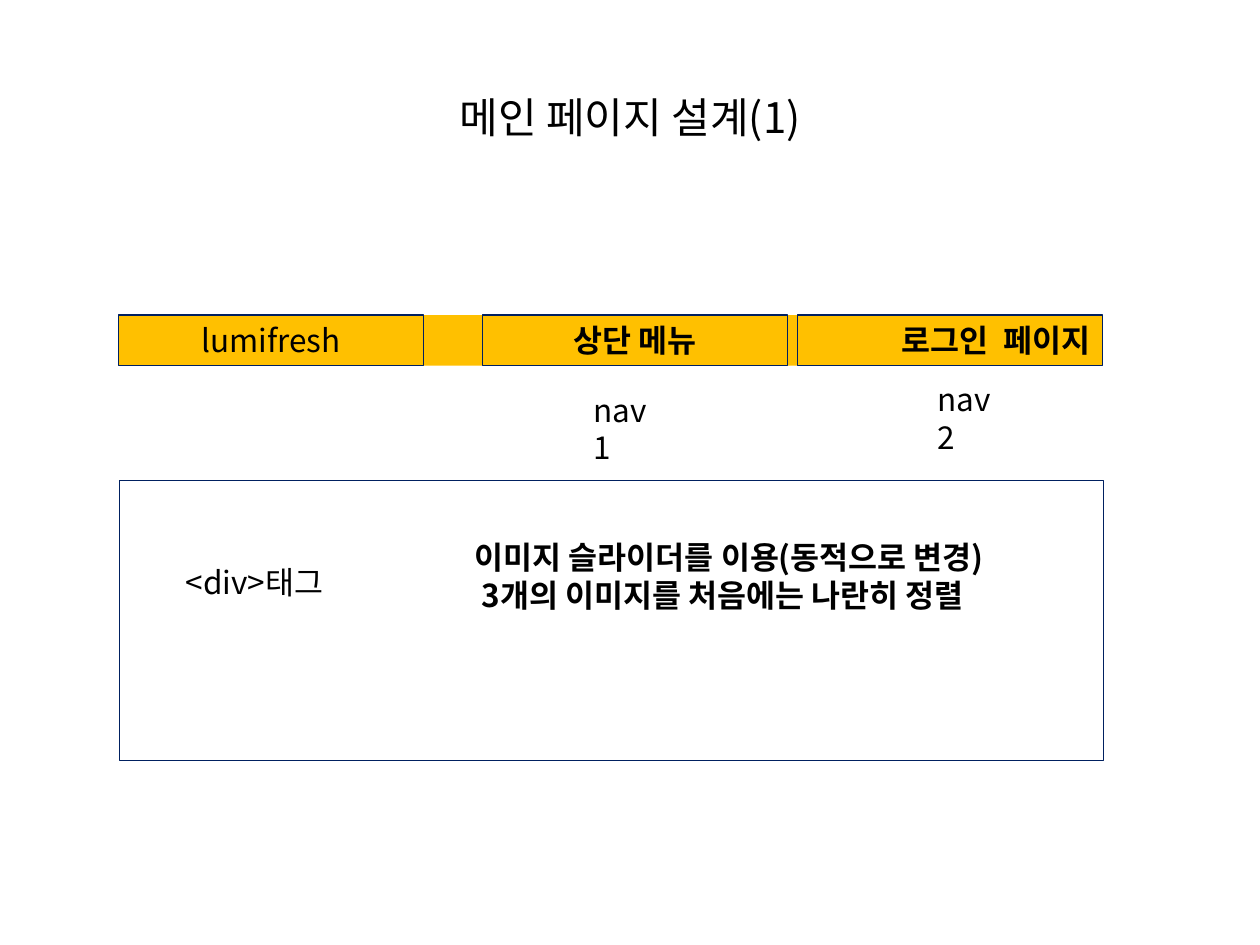
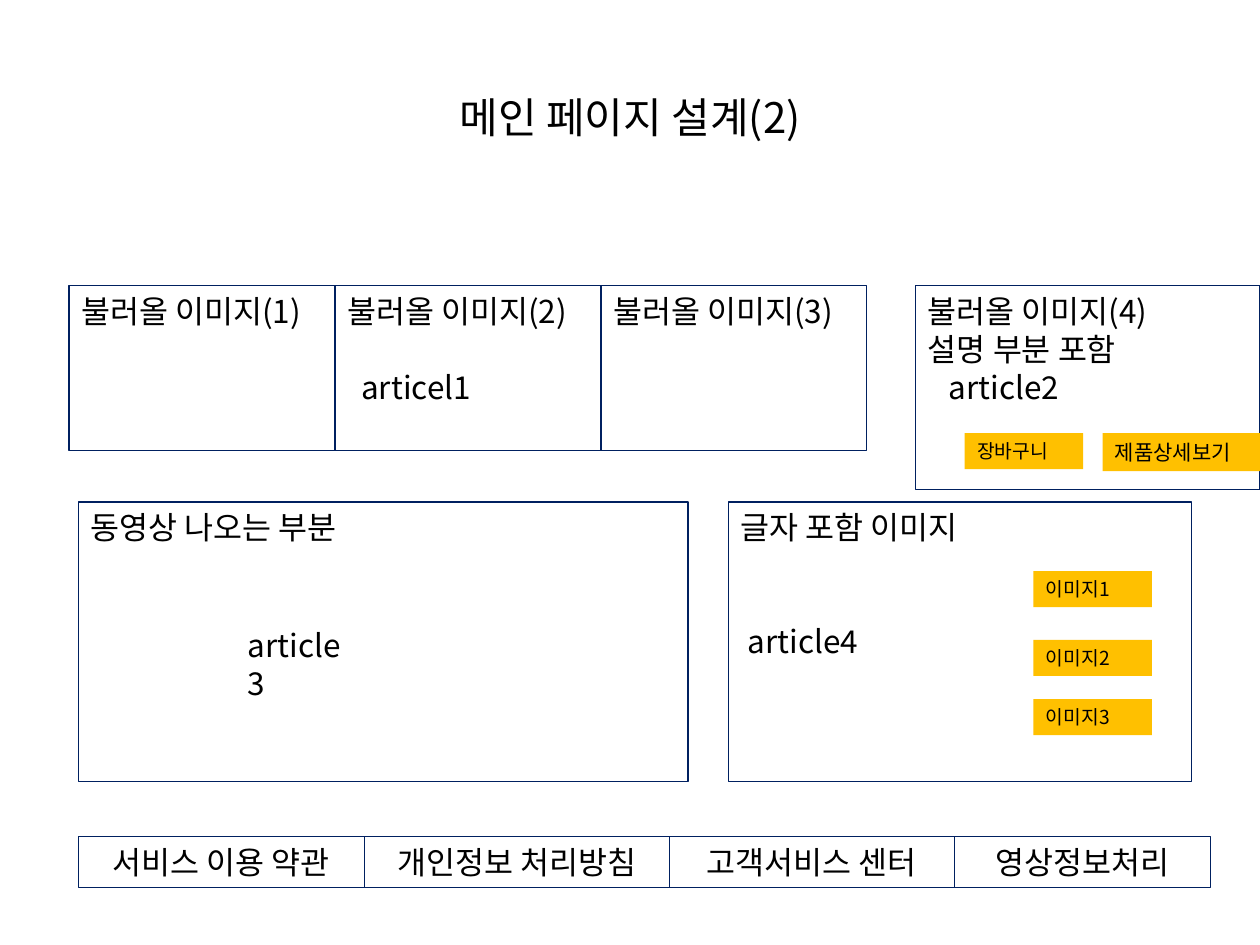
from itertools import accumulate

from lxml import etree
from pptx import Presentation
from pptx.dml.color import RGBColor
from pptx.enum import shapes, text
from pptx.oxml.ns import qn
from pptx.util import Pt

FONT = "Noto Sans CJK KR"
BLACK = RGBColor(0x00, 0x00, 0x00)
NAVY = RGBColor(0x00, 0x20, 0x60)
AMBER = RGBColor(0xFF, 0xC0, 0x00)
LEFT, CENTER, RIGHT = text.PP_ALIGN.LEFT, text.PP_ALIGN.CENTER, text.PP_ALIGN.RIGHT

BAR_HEIGHT = 29
LINE_HEIGHT = 21.7
TITLE_ONLY = 5


def write(frame, words, size=18, bold=False, align=LEFT, indent=0, before=0):
    """Fill the first paragraph of the frame, or add one below."""
    paragraph = frame.add_paragraph() if frame.text else frame.paragraphs[0]
    paragraph.alignment = align
    paragraph.space_before = Pt(before)
    if indent:
        paragraph._p.get_or_add_pPr().set("marL", str(Pt(indent)))
    run = paragraph.add_run()
    run.text = words
    run.font.size, run.font.bold, run.font.name = Pt(size), bold, FONT
    run.font.color.rgb = BLACK
    east_asian = etree.SubElement(run._r.get_or_add_rPr(), qn("a:ea"))
    east_asian.set("typeface", FONT)


class Wireframe:
    """The deck's style and the slide being drawn; lengths in points."""

    def __init__(self):
        self.deck = Presentation()
        self.deck.slide_width, self.deck.slide_height = Pt(720), Pt(540)
        self.slide = None

    def start(self, heading):
        layout = self.deck.slide_layouts[TITLE_ONLY]
        self.slide = self.deck.slides.add_slide(layout)
        title = self.slide.shapes.title
        title.left, title.top, title.width, title.height = map(Pt, (36, 21.6, 648, 90))
        title.text_frame.vertical_anchor = text.MSO_ANCHOR.MIDDLE
        write(title.text_frame, heading, size=24, align=CENTER)

    def box(self, left, top, width, height, words="", fill=None, **style):
        """A filled box without outline, or an outlined box without fill."""
        area = self.slide.shapes.add_shape(
            shapes.MSO_SHAPE.RECTANGLE, *map(Pt, (left, top, width, height)))
        area.shadow.inherit = False
        if fill is None:
            area.fill.background()
            area.line.color.rgb = NAVY
            area.line.width = Pt(0.75)
        else:
            area.fill.solid()
            area.fill.fore_color.rgb = fill
            area.line.fill.background()
        frame = area.text_frame
        frame.word_wrap = True
        frame.vertical_anchor = text.MSO_ANCHOR.TOP
        if words:
            write(frame, words, **style)
        return frame

    def button(self, left, top, words, width=67.7, height=20.6, size=11):
        self.box(left, top, width, height, words, fill=AMBER, size=size)

    def label(self, left, top, width, words, height=BAR_HEIGHT, **style):
        area = self.slide.shapes.add_textbox(*map(Pt, (left, top, width, height)))
        area.text_frame.word_wrap = True
        write(area.text_frame, words, **style)
        return area.text_frame


def draw_header_and_slider(page):
    page.start("메인 페이지 설계(1)")

    # Header bar with its three sections
    bar_left, bar_top, section_width = 67.7, 180, 174.4
    page.box(bar_left, bar_top, 562.3, BAR_HEIGHT, fill=AMBER)
    for left, words, bold, align in (
            (275.8, "상단 메뉴", True, CENTER),
            (455.6, "로그인  페이지", True, RIGHT),
            (bar_left, "lumifresh", False, CENTER)):
        page.box(left, bar_top, section_width, BAR_HEIGHT, words, bold=bold, align=align)
    page.label(332, 219.6, 53.3, "nav1")
    page.label(528.5, 213.8, 53.3, "nav2")

    # Image slider
    page.box(68.4, 274.7, 562.3, 160)
    slider = page.label(264.3, 303.8, 360, "이미지 슬라이더를 이용(동적으로 변경)",
                        height=51, bold=True)
    write(slider, "3개의 이미지를 처음에는 나란히 정렬", bold=True, indent=4)
    page.label(99.2, 318.2, 100.8, "<div>태그")


def draw_articles_and_footer(page):
    page.start("메인 페이지 설계(2)")

    # Row of three images
    row_top, image_width = 163.3, 152
    images = [page.box(39.4 + i * image_width, row_top, image_width, 94.3,
                       f"불러올 이미지({i + 1})") for i in range(3)]
    write(images[1], "articel1", indent=8, before=LINE_HEIGHT)

    # Product image with its description and buttons
    product = page.box(523.2, row_top, 196.8, 116.3, "불러올 이미지(4)")
    write(product, "설명 부분 포함")
    write(product, "article2", indent=12)
    page.button(551.3, 247.5, "장바구니")
    page.button(630, 247.5, "제품상세보기", width=90, height=21.8, size=12)

    # Video and captioned image
    media_top, media_height = 286.9, 159.6
    page.box(44.8, media_top, 348.5, media_height, "동영상 나오는 부분")
    captioned = page.box(416.2, media_top, 264.5, media_height, "글자 포함 이미지")
    write(captioned, "article4", indent=4, before=2 * LINE_HEIGHT)
    for number, top in enumerate((326.3, 365.7, 399.5), start=1):
        page.button(590.6, top, f"이미지{number}")
    page.label(134.6, 354.2, 74.2, "article3")

    # Footer links, side by side
    links = ("서비스 이용 약관", "개인정보 처리방침", "고객서비스 센터", "영상정보처리")
    widths = (163.4, 174.3, 163, 146.2)
    for words, width, right in zip(links, widths, accumulate(widths)):
        page.box(44.8 + right - width, 478, width, BAR_HEIGHT, words, align=CENTER)


def main():
    page = Wireframe()
    draw_header_and_slider(page)
    draw_articles_and_footer(page)
    page.deck.save("out.pptx")


if __name__ == "__main__":
    main()
